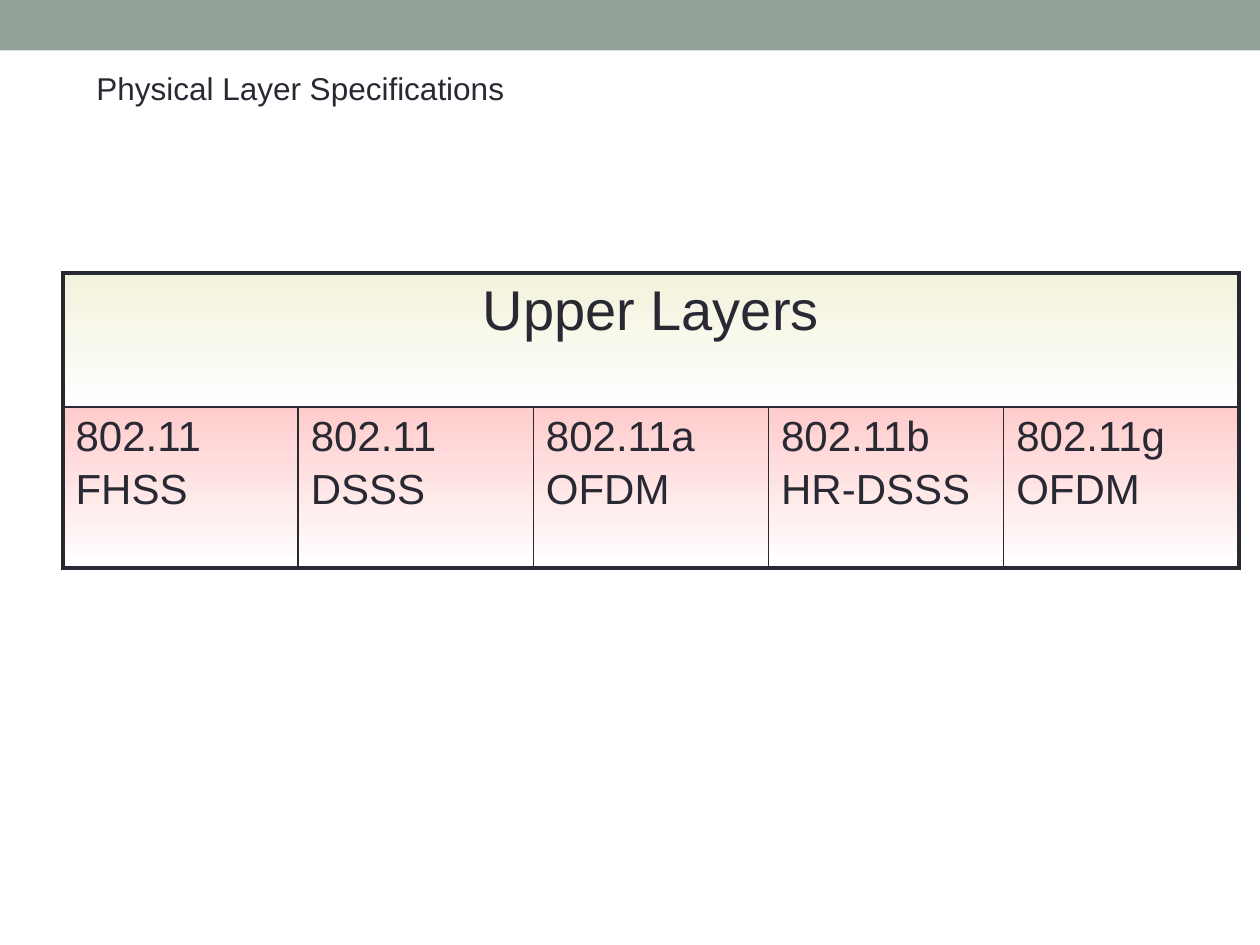
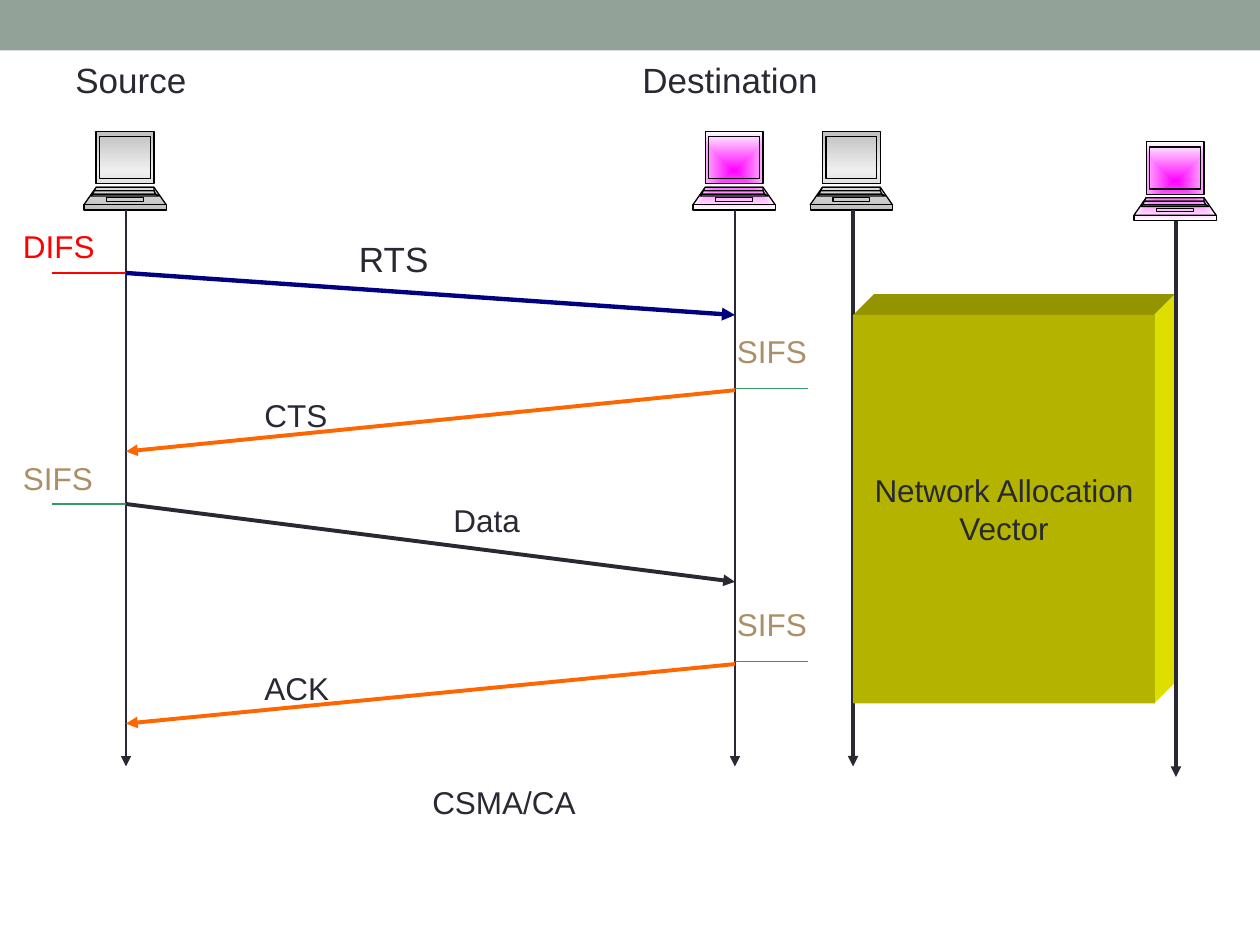
from copy import deepcopy
from typing import NamedTuple

from pptx import Presentation
from pptx.dml.color import RGBColor
from pptx.enum import shapes as sh, text as tx
from pptx.oxml import parse_xml
from pptx.oxml.ns import nsdecls, qn
from pptx.util import Pt

FONT = "Arial"
INK = RGBColor(0x29, 0x29, 0x34)
SAGE = RGBColor(0x93, 0xA2, 0x99)
WHITE = RGBColor(0xFF, 0xFF, 0xFF)
BLACK = RGBColor(0x00, 0x00, 0x00)
CREAM = RGBColor(0xF3, 0xF2, 0xDC)
ROSE = RGBColor(0xFF, 0xCC, 0xCC)
RED = RGBColor(0xFF, 0x00, 0x00)
NAVY = RGBColor(0x00, 0x00, 0x80)
ORANGE = RGBColor(0xFF, 0x66, 0x00)
GREEN = RGBColor(0x33, 0x99, 0x66)
TAN = RGBColor(0xAD, 0x8F, 0x67)
SILVER = RGBColor(0xC0, 0xC0, 0xC0)
PALE = RGBColor(0xEF, 0xEF, 0xEF)
PINK = RGBColor(0xFF, 0x00, 0xFF)
OLIVE = RGBColor(0xB3, 0xB3, 0x00)
OLIVE_DARK = RGBColor(0x94, 0x94, 0x00)
OLIVE_LIGHT = RGBColor(0xDE, 0xDE, 0x00)

LEFT, CENTER = tx.PP_ALIGN.LEFT, tx.PP_ALIGN.CENTER
STEEL = (SILVER, PALE, SILVER)
GLOW = (PINK, WHITE)

PHYS = ["802.11\nFHSS", "802.11\nDSSS", "802.11a\nOFDM", "802.11b\nHR-DSSS", "802.11g\nOFDM"]


class Label(NamedTuple):
    text: str
    x: float
    y: float
    w: float
    h: float = 28.8
    size: float = 18
    color: RGBColor = INK
    align: tx.PP_ALIGN = LEFT


class Line(NamedTuple):
    x1: float
    y1: float
    x2: float
    y2: float
    color: RGBColor = INK
    width: float = 0.75
    arrow: bool = True


class Host(NamedTuple):
    """A laptop with its time axis."""
    x: float
    y: float
    axis: float
    width: float
    skin: tuple


SRC, DST = 72, 420  # time axes of the two talking hosts
HOSTS = [
    Host(48, 75, SRC, 0.75, STEEL),
    Host(396, 75, DST, 0.75, GLOW),
    Host(463, 75, 487.5, 2, STEEL),
    Host(648, 81, 672, 2, GLOW),
]
FRAMES = [
    Line(SRC, 156, DST, 180, NAVY, 2.5),
    Line(DST, 223, SRC, 258, ORANGE, 2.25),
    Line(SRC, 288, DST, 332.5, INK, 2.25),
    Line(DST, 379.5, SRC, 413.5, ORANGE, 2.25),
]
WAITS = [
    Line(30, 156, SRC, 156, RED, arrow=False),
    Line(DST, 222, 462, 222, GREEN, arrow=False),
    Line(30, 288, SRC, 288, GREEN, arrow=False),
    Line(DST, 378, 462, 378, GREEN, arrow=False),
]
LABELS = [
    Label("Source", 36, 30, 138, 31, 20),
    Label("Destination", 360, 30, 138, 31, 20),
    Label("DIFS", 6, 126, 78, color=RED),
    Label("RTS", 156, 132, 138, 31, 20, align=CENTER),
    Label("SIFS", 414, 186, 78, color=TAN),
    Label("CTS", 144, 223, 60),
    Label("SIFS", 6, 259, 78, color=TAN),
    Label("Data", 252, 283, 96),
    Label("SIFS", 414, 342, 78, color=TAN),
    Label("ACK", 144, 379, 60),
    Label("CSMA/CA", 132, 444, 312, 36, align=CENTER),
]


def quad(top: float, low: float, a: float, b: float, c: float, d: float) -> list:
    """Corners of a trapezium: top edge a to b, bottom edge c to d."""
    return [(a, top), (b, top), (d, low), (c, low)]


LAPTOP = [
    quad(0, 30, 7.2, 39.6, 7.2, 39.6),
    quad(31.7, 41.8, 7.2, 39.6, 0, 46.8),
    quad(41.8, 45.4, 0, 46.8, 0, 46.8),
    quad(3, 26.6, 9, 38.2, 9, 38.2),
    quad(32.4, 33.6, 7.2, 39.6, 6.1, 40.3),
    quad(38.2, 39.6, 13.3, 33.5, 13, 34.2),
    quad(34.4, 35.5, 6, 40.3, 5, 41.4),
    quad(36.2, 37.4, 5, 41.4, 4, 42.8),
]


def blend(colors: tuple, radial: bool = False):
    """Gradient fill, downward or out from the middle."""
    gap = 100000 // (len(colors) - 1)
    stops = "".join(
        f'<a:gs pos="{i * gap}"><a:srgbClr val="{c}"/></a:gs>' for i, c in enumerate(colors))
    way = '<a:lin ang="5400000" scaled="0"/>'
    if radial:
        way = ('<a:path path="rect"><a:fillToRect l="50000" t="50000" '
               'r="50000" b="50000"/></a:path>')
    return parse_xml(f'<a:gradFill {nsdecls("a")} rotWithShape="1">'
                     f'<a:gsLst>{stops}</a:gsLst>{way}</a:gradFill>')


def style(frame, size: float, color: RGBColor, align: tx.PP_ALIGN, gap: float = 0) -> None:
    for i, para in enumerate(frame.paragraphs):
        para.alignment = align
        para.space_before = Pt(gap if i else 0)
        for run in para.runs:
            run.font.name = FONT
            run.font.size = Pt(size)
            run.font.color.rgb = color


def paint(shape, color: RGBColor) -> None:
    shape.shadow.inherit = False
    shape.fill.solid()
    shape.fill.fore_color.rgb = color
    shape.line.fill.background()


def add_box(slide, x: float, y: float, w: float, h: float, color: RGBColor):
    box = slide.shapes.add_shape(sh.MSO_SHAPE.RECTANGLE, Pt(x), Pt(y), Pt(w), Pt(h))
    paint(box, color)
    return box


def add_label(slide, lab: Label) -> None:
    box = slide.shapes.add_textbox(Pt(lab.x), Pt(lab.y), Pt(lab.w), Pt(lab.h))
    frame = box.text_frame
    frame.word_wrap = True
    frame.auto_size = tx.MSO_AUTO_SIZE.SHAPE_TO_FIT_TEXT
    frame.text = lab.text
    style(frame, lab.size, lab.color, lab.align)


def add_line(slide, ln: Line) -> None:
    link = slide.shapes.add_connector(
        sh.MSO_CONNECTOR.STRAIGHT, Pt(ln.x1), Pt(ln.y1), Pt(ln.x2), Pt(ln.y2))
    link.line.color.rgb = ln.color
    link.line.width = Pt(ln.width)
    props = link._element.spPr
    if ln.arrow:
        props.find(qn("a:ln")).append(
            parse_xml(f'<a:tailEnd {nsdecls("a")} type="triangle"/>'))
    props.append(parse_xml(f'<a:effectLst {nsdecls("a")}/>'))


def add_form(slide, x: float, y: float, loops: list):
    """Freeform of closed loops, given in points from x, y."""
    pen = slide.shapes.build_freeform(*loops[0][0], scale=Pt(1))
    for i, loop in enumerate(loops):
        if i:
            pen.move_to(*loop[0])
        pen.add_line_segments(loop[1:], close=True)
    return pen.convert_to_shape(Pt(x), Pt(y))


def split_loops(shape) -> None:
    """Give each loop its own outline, so that overlaps stay filled."""
    whole = shape._element.xpath(".//a:path")[0]
    steps = list(whole)
    for step in steps:
        whole.remove(step)
    blank, rest = deepcopy(whole), whole.getparent()
    rest.remove(whole)
    for step in steps:
        if step.tag == qn("a:moveTo"):
            part = deepcopy(blank)
            rest.append(part)
        part.append(step)


def add_host(slide, host: Host) -> None:
    shape = add_form(slide, host.x, host.y, LAPTOP)
    split_loops(shape)
    paint(shape, SILVER)
    shape.line.color.rgb = BLACK
    shape.line.width = Pt(0.75)
    props = shape._element.spPr
    props.replace(props.find(qn("a:solidFill")), blend(host.skin, host.skin is GLOW))


def add_axis(slide, host: Host) -> None:
    top = host.y + 45
    add_line(slide, Line(host.axis, top, host.axis, top + 318, width=host.width))


def add_block(slide, x: float, y: float, w: float, h: float, deep: float, words: str) -> None:
    """Box with a raised top and right side."""
    lid = add_form(slide, x, y, [quad(-deep, 0, deep, w + deep, 0, w)])
    paint(lid, OLIVE_DARK)
    side = add_form(slide, x, y, [[(w, 0), (w + deep, -deep), (w + deep, h - deep), (w, h)]])
    paint(side, OLIVE_LIGHT)
    front = add_box(slide, x, y, w, h, OLIVE)
    frame = front.text_frame
    frame.word_wrap = True
    frame.vertical_anchor = tx.MSO_ANCHOR.MIDDLE
    frame.text = words
    style(frame, 18, INK, CENTER)


def fill_cell(cell, words: str, size: float, align: tx.PP_ALIGN, tint: RGBColor,
              edges: dict) -> None:
    """Write a cell; edges maps each side to its line width."""
    cell.text_frame.text = words
    style(cell.text_frame, size, INK, align, 3.8)
    cell.fill.background()
    props = cell._tc.tcPr
    props.replace(props.find(qn("a:noFill")), blend((tint, WHITE)))
    for i, (side, width) in enumerate(edges.items()):
        props.insert(i, parse_xml(
            f'<a:ln{side} {nsdecls("a")} w="{Pt(width)}"><a:solidFill>'
            f'<a:srgbClr val="{INK}"/></a:solidFill></a:ln{side}>'))


def add_layers(slide) -> None:
    count = len(PHYS)
    grid = slide.shapes.add_table(2, count, Pt(36), Pt(156), Pt(672), Pt(168.5)).table
    grid.first_row = grid.horz_banding = False
    for row, high in zip(grid.rows, (76.5, 92)):
        row.height = Pt(high)
    for col in grid.columns:
        col.width = Pt(672 / count)
    thick, thin = 2.25, 1
    grid.cell(0, 0).merge(grid.cell(0, count - 1))
    for i, words in enumerate(PHYS):
        head = "" if i else "Upper Layers"
        fill_cell(grid.cell(0, i), head, 32, CENTER, CREAM,
                  {"L": thick, "R": thick, "T": thick, "B": thin})
        fill_cell(grid.cell(1, i), words, 24, LEFT, ROSE,
                  {"L": thin if i else thick, "R": thin if i < count - 1 else thick,
                   "T": thin, "B": thick})


def new_slide(deck):
    slide = deck.slides.add_slide(deck.slide_layouts[6])
    add_box(slide, 0, 0, 720, 28.8, SAGE)
    return slide


def main() -> None:
    deck = Presentation()
    deck.slide_width, deck.slide_height = Pt(720), Pt(540)

    specs = new_slide(deck)
    add_label(specs, Label("Physical Layer Specifications", 48, 36, 540, 36))
    add_layers(specs)

    flow = new_slide(deck)
    for host in HOSTS:
        add_host(flow, host)
    for host in HOSTS[:3]:
        add_axis(flow, host)
    for line in WAITS + FRAMES:
        add_line(flow, line)
    for label in LABELS:
        add_label(flow, label)
    add_block(flow, 487.5, 180, 172.5, 222, 12, "Network Allocation Vector")
    add_axis(flow, HOSTS[3])

    deck.save("out.pptx")


if __name__ == "__main__":
    main()
